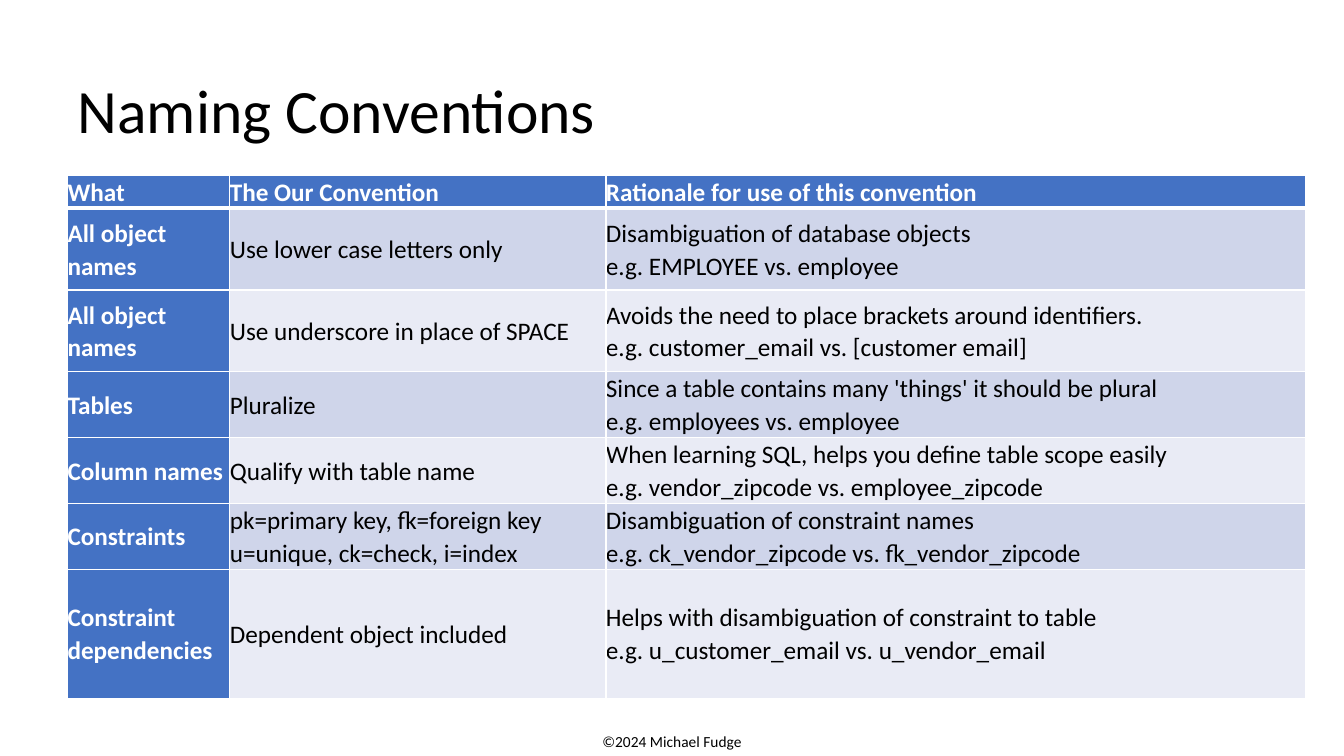
from pptx import Presentation
from pptx import util as u
from pptx.dml.color import RGBColor
from pptx.enum import text
from pptx.oxml import parse_xml
from pptx.oxml.ns import nsdecls

TITLE = "Naming Conventions"
FOOTER = "©2024 Michael Fudge"
ROWS = [
    ("What", "The Our Convention", "Rationale for use of this convention"),
    ("All object names", "Use lower case letters only",
     "Disambiguation of database objects\ve.g. EMPLOYEE vs. employee"),
    ("All object names", "Use underscore in place of SPACE",
     "Avoids the need to place brackets around identifiers. \ve.g. customer_email vs. [customer email]"),
    ("Tables", "Pluralize",
     "Since a table contains many 'things' it should be plural \ve.g. employees vs. employee"),
    ("Column names", "Qualify with table name",
     "When learning SQL, helps you define table scope easily \ve.g. vendor_zipcode vs. employee_zipcode"),
    ("Constraints", "pk=primary key, fk=foreign key u=unique, ck=check, i=index",
     "Disambiguation of constraint names\ve.g. ck_vendor_zipcode vs. fk_vendor_zipcode"),
    ("Constraint dependencies", "Dependent object included",
     "Helps with disambiguation of constraint to table\ve.g. u_customer_email vs. u_vendor_email"),
]
COLS = [1.61, 3.73, 6.94]
HEIGHTS = [0.23, 0.81, 0.81, 0.35, 0.64, 0.64, 1.28]
LEFT, TABLE_TOP, TABLE_H = 0.67, 1.74, 5.12
COLORS = {"head": "4472C4", "odd": "CFD5EA", "even": "E9EBF5",
          "white": "FFFFFF", "black": "000000"}


def rgb(name):
    return RGBColor.from_string(COLORS[name])


def place(sp, x, y, w, h):
    sp.left, sp.top, sp.width, sp.height = (u.Inches(v) for v in (x, y, w, h))


def style(p, size, color="black", bold=False, align=text.PP_ALIGN.LEFT, spacing=1.0):
    p.alignment = align
    p.line_spacing = spacing
    for r in p.runs:
        r.font.name = "Calibri"
        r.font.size = u.Pt(size)
        r.font.bold = bold
        r.font.color.rgb = rgb(color)


def add_borders(cell, header):
    tcPr = cell._tc.get_or_add_tcPr()
    for i, side in enumerate("LRTB"):
        width = u.Pt(3 if header and side == "B" else 1)
        if side == "T" and not header and cell is not None and cell.text == "":
            continue
        tcPr.insert(i, parse_xml(
            f'<a:ln{side} {nsdecls("a")} w="{width}"><a:solidFill>'
            f'<a:srgbClr val="{COLORS["white"]}"/></a:solidFill></a:ln{side}>'))


def fill_cell(cell, content, row, col):
    header = row == 0
    strong = header or col == 0
    cell.margin_left = cell.margin_right = cell.margin_top = cell.margin_bottom = 0
    cell.vertical_anchor = text.MSO_ANCHOR.MIDDLE
    cell.fill.solid()
    cell.fill.fore_color.rgb = rgb("head" if strong else "odd" if row % 2 else "even")
    cell.text_frame.text = content
    p = cell.text_frame.paragraphs[0]
    style(p, 18, "white" if strong else "black", strong, spacing=1.07)
    p.space_after = u.Pt(8 if header else 0)
    add_borders(cell, header)


def add_table(s):
    gf = s.shapes.add_table(len(ROWS), len(COLS), u.Inches(LEFT), u.Inches(TABLE_TOP),
                            u.Inches(sum(COLS)), u.Inches(TABLE_H))
    table = gf.table
    for column, width in zip(table.columns, COLS):
        column.width = u.Inches(width)
    for row, height in zip(table.rows, HEIGHTS):
        row.height = u.Inches(height)
    for i, row in enumerate(ROWS):
        for j, content in enumerate(row):
            fill_cell(table.cell(i, j), content, i, j)
    gf.height = u.Inches(TABLE_H)


def main():
    prs = Presentation()
    prs.slide_width, prs.slide_height = u.Inches(13.33), u.Inches(7.5)
    s = prs.slides.add_slide(prs.slide_layouts[5])

    title = s.shapes.title
    place(title, LEFT, 0.4, 11.75, 1.45)
    title.text_frame.text = TITLE
    title.text_frame.vertical_anchor = text.MSO_ANCHOR.MIDDLE
    style(title.text_frame.paragraphs[0], 44, spacing=0.9)

    add_table(s)

    footer = s.shapes.add_textbox(u.Inches(5.67), u.Inches(7.21), u.Inches(1.99), u.Inches(0.29))
    tf = footer.text_frame
    tf.word_wrap = True
    tf.text = FOOTER
    style(tf.paragraphs[0], 11, align=text.PP_ALIGN.CENTER)

    prs.save("out.pptx")


if __name__ == "__main__":
    main()
